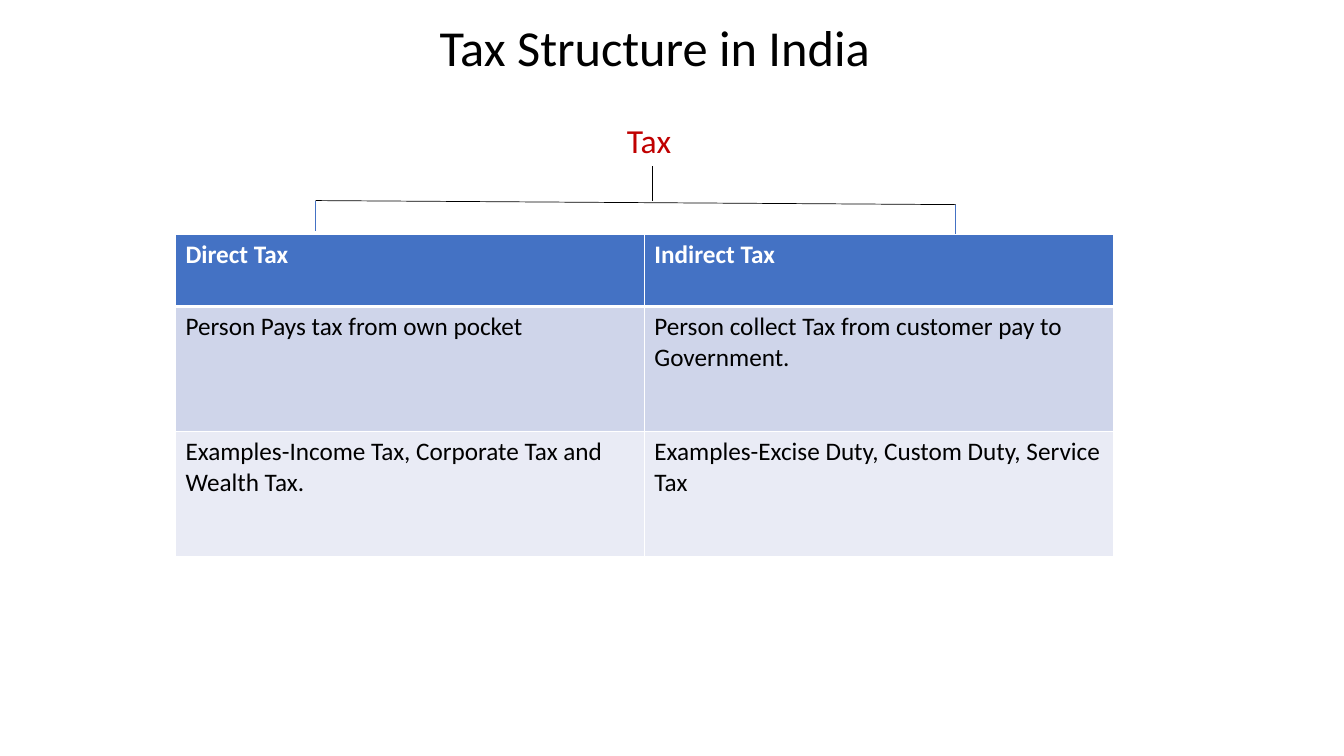
from lxml import etree
from pptx import Presentation
from pptx import util as u
from pptx.dml.color import RGBColor
from pptx.enum import shapes, text
from pptx.oxml.ns import qn

W, H = 13.33, 7.5
FONT = "Calibri"
COLORS = {"ink": "000000", "accent": "C00000", "header": "4472C4",
          "band": "CFD5EA", "light": "E9EBF5", "white": "FFFFFF"}
ROWS = [
    ("Direct Tax", "Indirect Tax"),
    ("Person Pays tax from own pocket",
     "Person collect Tax from customer pay to Government."),
    ("Examples-Income Tax, Corporate Tax and Wealth Tax.",
     "Examples-Excise Duty, Custom Duty, Service Tax"),
]
ROW_FILLS = ("header", "band", "light")
ROW_HEIGHTS = (0.71, 1.24, 1.24)


def color(name):
    """Return the palette colour of that name."""
    return RGBColor.from_string(COLORS[name])


def write(tf, words, size, name, bold=False):
    """Write one left-aligned run at the top of a text frame."""
    tf.word_wrap = True
    tf.vertical_anchor = text.MSO_ANCHOR.TOP
    p = tf.paragraphs[0]
    p.alignment = text.PP_ALIGN.LEFT
    r = p.add_run()
    r.text = words
    r.font.name, r.font.size, r.font.bold = FONT, u.Pt(size), bold
    r.font.color.rgb = color(name)


def add_title(s, words, x, y, w, h):
    """Place and fill the title placeholder."""
    sp = s.shapes.title
    sp.left, sp.top, sp.width, sp.height = map(u.Inches, (x, y, w, h))
    write(sp.text_frame, words, 36, "ink")
    sp.text_frame.auto_size = text.MSO_AUTO_SIZE.NONE


def add_line(s, x1, y1, x2, y2, name):
    """Draw a thin straight line without a shadow."""
    cn = s.shapes.add_connector(shapes.MSO_CONNECTOR.STRAIGHT,
                                *map(u.Inches, (x1, y1, x2, y2)))
    cn.line.width = u.Pt(0.5)
    cn.line.color.rgb = color(name)
    etree.SubElement(cn._element.spPr, qn("a:effectLst"))


def add_tree(s, x, y, w, h):
    """Draw the root label and the bracket that splits it in two."""
    stem = x + 0.526 * w
    sp = s.shapes.add_textbox(*map(u.Inches, (stem - 0.35, y, 1.65, 0.5)))
    write(sp.text_frame, "Tax", 24, "accent")
    drop, tilt = 0.3, 0.04
    left_y = y + h - drop - tilt
    right_y = left_y + tilt
    add_line(s, stem, y + 0.51, stem, left_y, "ink")
    add_line(s, x, left_y, x + w, right_y, "ink")
    for end_x, end_y in ((x, left_y), (x + w, right_y)):
        add_line(s, end_x, end_y, end_x, end_y + drop, "header")


def set_borders(cell, widths):
    """Give a cell white borders, with widths for left, right, top, bottom."""
    tc_pr = cell._tc.get_or_add_tcPr()
    for side, width in zip("LRTB", widths):
        ln = etree.SubElement(tc_pr, qn(f"a:ln{side}"), w=str(u.Pt(width)))
        fill = etree.SubElement(ln, qn("a:solidFill"))
        etree.SubElement(fill, qn("a:srgbClr"), val=COLORS["white"])


def add_comparison(s, x, y, w):
    """Build the table that compares the two kinds of tax."""
    frame = s.shapes.add_table(len(ROWS), len(ROWS[0]), *map(
        u.Inches, (x, y, w, sum(ROW_HEIGHTS))))
    table = frame.table
    for i, (words, fill, height) in enumerate(zip(ROWS, ROW_FILLS, ROW_HEIGHTS)):
        table.rows[i].height = u.Inches(height)
        header = i == 0
        for j, entry in enumerate(words):
            cell = table.cell(i, j)
            set_borders(cell, (1, 1, 3 if i == 1 else 1, 3 if header else 1))
            cell.fill.solid()
            cell.fill.fore_color.rgb = color(fill)
            write(cell.text_frame, entry, 18, "white" if header else "ink", header)


def build_tax_slide(prs):
    """Add the tax structure slide."""
    s = prs.slides.add_slide(prs.slide_layouts[5])
    add_title(s, "Tax Structure in India", 4.26, 0.11, 5.55, 0.71)
    add_tree(s, 3.13, 1.14, 6.35, 1.19)
    add_comparison(s, 1.74, 2.33, 9.3)


def main():
    """Build and save the presentation."""
    prs = Presentation()
    prs.slide_width, prs.slide_height = u.Inches(W), u.Inches(H)
    build_tax_slide(prs)
    prs.save("out.pptx")


if __name__ == "__main__":
    main()
